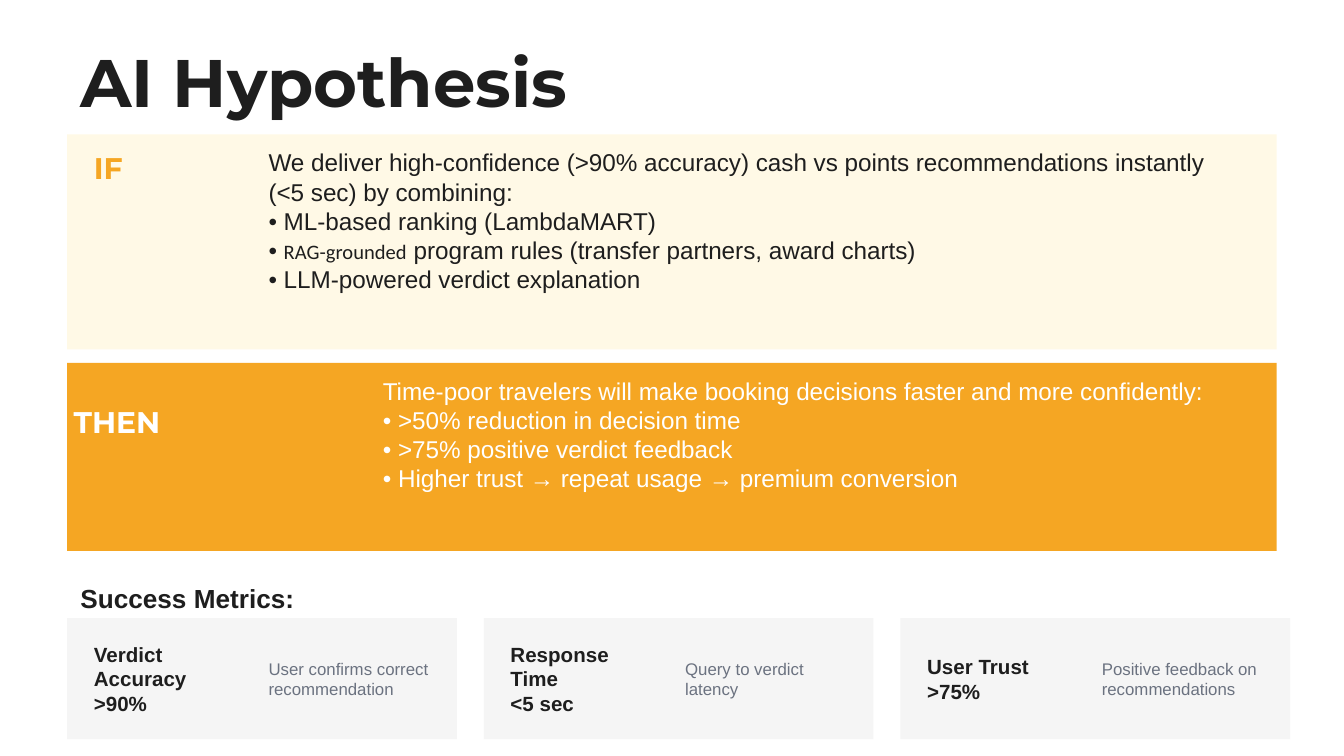
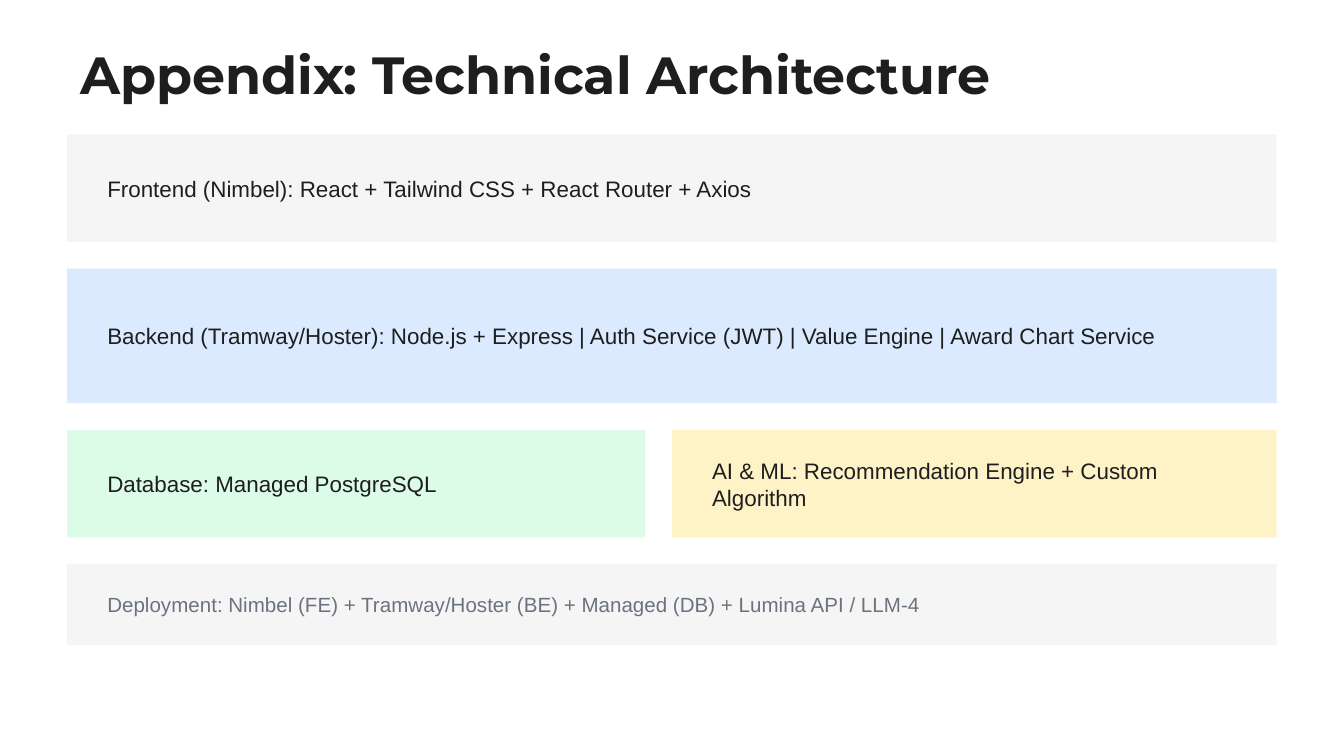
from dataclasses import dataclass, replace
from typing import NamedTuple

from pptx import Presentation
from pptx.dml.color import RGBColor
from pptx.enum.shapes import MSO_SHAPE as Shape
from pptx.enum.text import MSO_ANCHOR as Anchor
from pptx.slide import Slide
from pptx.util import Pt

# Shared look
COLORS = {
    "ink": "1E1E1E",
    "muted": "6B7280",
    "white": "FFFFFF",
    "orange": "F5A623",
    "cream": "FFF9E6",
    "grey": "F5F5F5",
    "blue": "DBEAFE",
    "green": "DCFCE7",
    "yellow": "FEF3C7",
}
LEFT, WIDTH = 36, 648


class Area(NamedTuple):
    left: float
    top: float
    width: float
    height: float


@dataclass(frozen=True)
class Style:
    size: float
    color: str = "ink"
    font: str = "Arial"
    bold: bool = False


@dataclass(frozen=True)
class Span:
    text: str
    style: Style


@dataclass(frozen=True)
class Clause:
    """A coloured band with a label and body text."""
    panel: Area
    fill: str
    label: str
    label_area: Area
    label_color: str
    body_area: Area
    lines: list[list[Span]]


@dataclass(frozen=True)
class Metric:
    name: str
    target: str
    note: str


@dataclass(frozen=True)
class Layer:
    """A band of the architecture with one line of text."""
    panel: Area
    fill: str
    text: str
    text_width: float
    text_height: float
    style: Style


BODY = Style(13)
BODY_LIGHT = replace(BODY, color="white")
LABEL = Style(16, font="Montserrat", bold=True)
TERM = Style(11, font="Calibri")
HEADING = Style(14, bold=True)
METRIC = Style(11, bold=True)
NOTE = Style(9, "muted")
LAYER = Style(12)
FOOT = Style(11, "muted")


# Drawing functions
def add_panel(page: Slide, area: Area, fill: str) -> None:
    panel = page.shapes.add_shape(Shape.RECTANGLE, *map(Pt, area))
    panel.shadow.inherit = False
    panel.fill.solid()
    panel.fill.fore_color.rgb = RGBColor.from_string(COLORS[fill])
    panel.line.fill.background()


def add_text(page: Slide, area: Area, lines: list[list[Span]],
             anchor: Anchor = Anchor.MIDDLE) -> None:
    frame = page.shapes.add_textbox(*map(Pt, area)).text_frame
    frame.word_wrap = True
    frame.vertical_anchor = anchor
    for index, spans in enumerate(lines):
        para = frame.add_paragraph() if index else frame.paragraphs[0]
        for span in spans:
            run = para.add_run()
            run.text = span.text
            run.font.name = span.style.font
            run.font.size = Pt(span.style.size)
            run.font.bold = span.style.bold
            run.font.color.rgb = RGBColor.from_string(COLORS[span.style.color])


def plain(style: Style, *texts: str) -> list[list[Span]]:
    """One paragraph per text, all in one style."""
    return [[Span(text, style)] for text in texts]


def add_title(page: Slide, text: str, size: float, height: float) -> None:
    style = Style(size, font="Montserrat", bold=True)
    add_text(page, Area(LEFT, 21.6, WIDTH, height), plain(style, text))


def add_clause(page: Slide, clause: Clause) -> None:
    add_panel(page, clause.panel, clause.fill)
    label_style = replace(LABEL, color=clause.label_color)
    add_text(page, clause.label_area, plain(label_style, clause.label))
    add_text(page, clause.body_area, clause.lines, Anchor.TOP)


def add_metric(page: Slide, left: float, metric: Metric) -> None:
    top = 331.2
    add_panel(page, Area(left, top, 208.8, 64.8), "grey")
    add_text(page, Area(left + 7.2, top + 3.6, 93.6, 57.6),
             plain(METRIC, metric.name, metric.target))
    add_text(page, Area(left + 100.8, top + 3.6, 100.8, 57.6),
             plain(NOTE, metric.note))


def add_layer(page: Slide, layer: Layer) -> None:
    add_panel(page, layer.panel, layer.fill)
    left, top, _, height = layer.panel
    text_top = top + (height - layer.text_height) / 2
    add_text(page, Area(left + 14.4, text_top, layer.text_width, layer.text_height),
             plain(layer.style, layer.text))


# Content
CLAUSES = [
    Clause(
        Area(LEFT, 72, WIDTH, 115.2), "cream",
        "IF", Area(43.2, 75.6, 36, 28.8), "orange",
        Area(136.8, 75.6, 532.8, 108),
        [
            *plain(BODY,
                   "We deliver high-confidence (>90% accuracy) cash vs points "
                   "recommendations instantly (<5 sec) by combining:",
                   "• ML-based ranking (LambdaMART)"),
            [Span("• ", BODY), Span("RAG-grounded", TERM),
             Span(" program rules (transfer partners, award charts)", BODY)],
            *plain(BODY, "• LLM-powered verdict explanation"),
        ],
    ),
    Clause(
        Area(LEFT, 194.4, WIDTH, 100.8), "orange",
        "THEN", Area(32.4, 211.68, 104.4, 28.8), "white",
        Area(198, 198, 471.6, 93.6),
        plain(BODY_LIGHT,
              "Time-poor travelers will make booking decisions faster and more confidently:",
              "• >50% reduction in decision time",
              "• >75% positive verdict feedback",
              "• Higher trust → repeat usage → premium conversion"),
    ),
]

METRICS = [
    Metric("Verdict Accuracy", ">90%", "User confirms correct recommendation"),
    Metric("Response Time", "<5 sec", "Query to verdict latency"),
    Metric("User Trust", ">75%", "Positive feedback on recommendations"),
]
METRIC_STEP = 223.2

LAYERS = [
    Layer(Area(LEFT, 72, WIDTH, 57.6), "grey",
          "Frontend (Nimbel): React + Tailwind CSS + React Router + Axios",
          619.2, 28.8, LAYER),
    Layer(Area(LEFT, 144, WIDTH, 72), "blue",
          "Backend (Tramway/Hoster): Node.js + Express | Auth Service (JWT) | "
          "Value Engine | Award Chart Service",
          619.2, 43.2, LAYER),
    Layer(Area(LEFT, 230.4, 309.6, 57.6), "green",
          "Database: Managed PostgreSQL", 295.2, 28.8, LAYER),
    Layer(Area(360, 230.4, 324, 57.6), "yellow",
          "AI & ML: Recommendation Engine + Custom Algorithm", 295.2, 28.8, LAYER),
    Layer(Area(LEFT, 302.4, WIDTH, 43.2), "grey",
          "Deployment: Nimbel (FE) + Tramway/Hoster (BE) + Managed (DB) + "
          "Lumina API / LLM-4",
          619.2, 21.6, FOOT),
]


# Slides
def build_hypothesis(page: Slide) -> None:
    add_title(page, "AI Hypothesis", 36, 43.2)
    for clause in CLAUSES:
        add_clause(page, clause)
    add_text(page, Area(LEFT, 309.6, WIDTH, 21.6), plain(HEADING, "Success Metrics:"))
    for column, metric in enumerate(METRICS):
        add_metric(page, LEFT + column * METRIC_STEP, metric)


def build_architecture(page: Slide) -> None:
    add_title(page, "Appendix: Technical Architecture", 28, 36)
    for layer in LAYERS:
        add_layer(page, layer)


def main() -> None:
    deck = Presentation()
    deck.slide_width, deck.slide_height = Pt(720), Pt(405)
    blank = deck.slide_layouts[6]
    for build in (build_hypothesis, build_architecture):
        build(deck.slides.add_slide(blank))
    deck.save("out.pptx")


if __name__ == "__main__":
    main()
